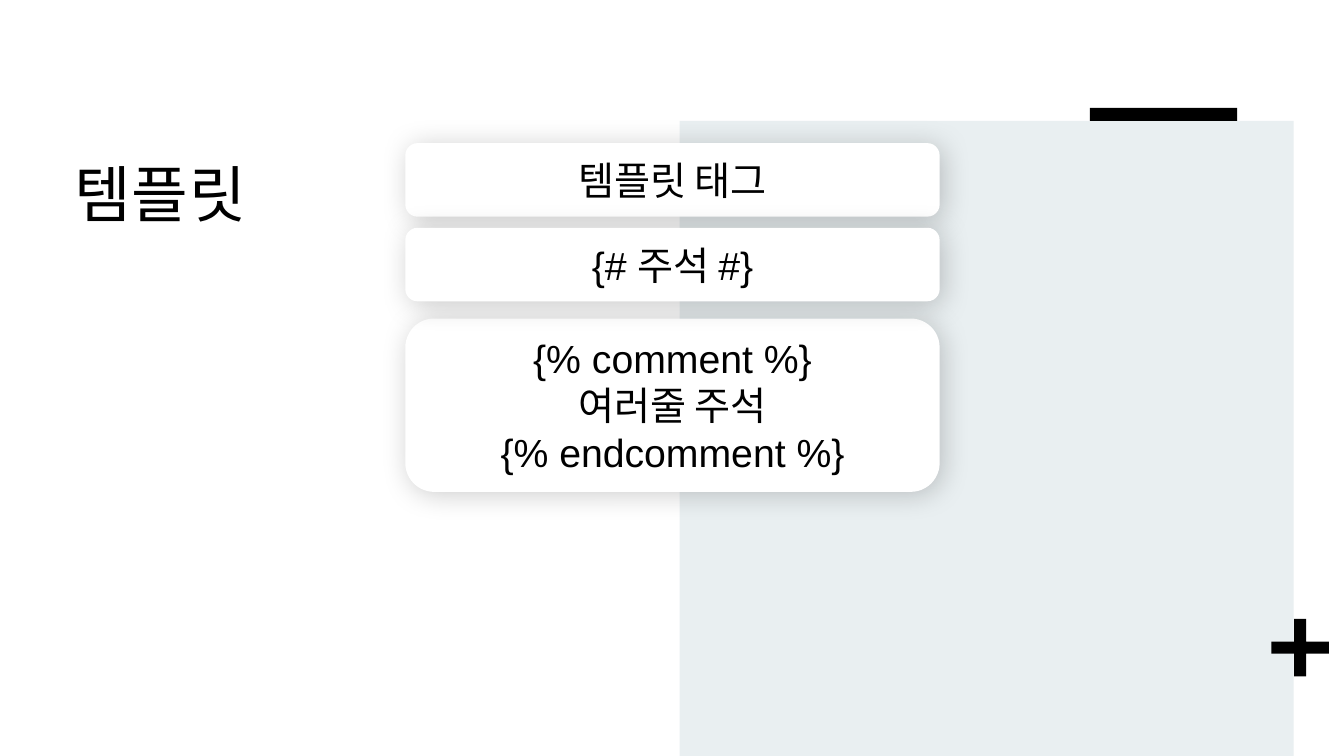
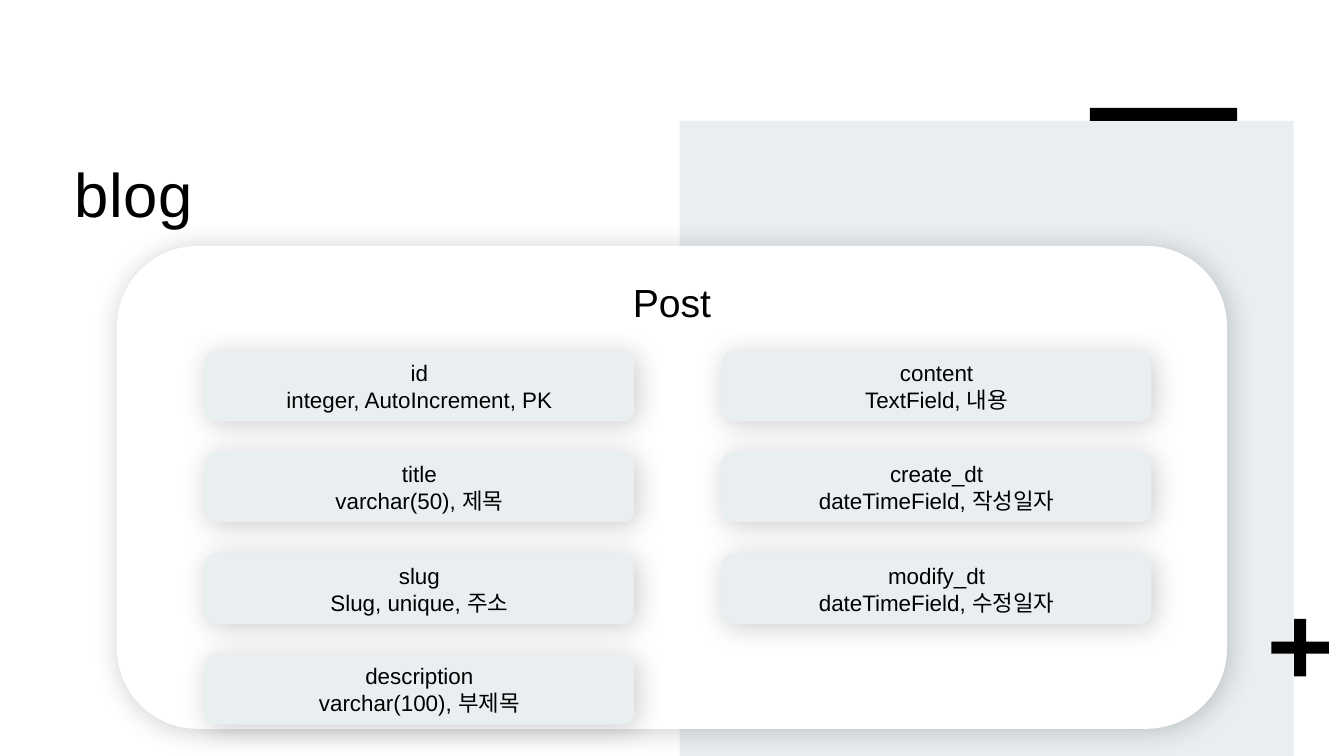
"""Build two slides on template tags and the blog Post model."""
from lxml import etree
from pptx import Presentation
from pptx.dml.color import RGBColor
from pptx.enum.shapes import MSO_SHAPE as SHAPE
from pptx.enum.text import MSO_ANCHOR as ANCHOR, MSO_AUTO_SIZE as AUTO, PP_ALIGN as ALIGN
from pptx.oxml import parse_xml
from pptx.oxml.ns import nsdecls
from pptx.util import Pt

PX = 9144
FONT = "Arial"
WHITE = RGBColor(0xFF, 0xFF, 0xFF)
BLACK = RGBColor(0, 0, 0)
MIST = RGBColor(0xE9, 0xEF, 0xF1)

DECOR = [
    (SHAPE.RECTANGLE, (674, 120, 609, 630), MIST),
    (SHAPE.CROSS, (1261, 614, 57, 57), BLACK),
    (SHAPE.RECTANGLE, (1081, 107, 146, 13), BLACK),
]
TITLE_BOX = (62, 132, 904, 158)
TAGS = [
    (316, 172, ["{% comment %}", "여러줄 주석", "{% endcomment %}"]),
    (142, 73, ["템플릿 태그"]),
    (226, 73, ["{# 주석 #}"]),
]
POST_BOX = (116, 244, 1101, 479)
FIELDS = [
    [("id", "integer, AutoIncrement, PK"),
     ("title", "varchar(50), 제목"),
     ("slug", "Slug, unique, 주소"),
     ("description", "varchar(100), 부제목")],
    [("content", "TextField, 내용"),
     ("create_dt", "dateTimeField, 작성일자"),
     ("modify_dt", "dateTimeField, 수정일자")],
]
FIELD_X, FIELD_Y, FIELD_W, FIELD_H = 203, 348, 426, 70
COL_STEP, ROW_STEP = 513, 100.4


def place(sp, box):
    sp.left, sp.top, sp.width, sp.height = (v * PX for v in box)


def write(tf, lines, size=28, align=ALIGN.CENTER, anchor=ANCHOR.MIDDLE, spacing=None, spc=None):
    tf.word_wrap = True
    tf.vertical_anchor = anchor
    for i, line in enumerate(lines):
        p = tf.paragraphs[0] if i == 0 else tf.add_paragraph()
        p.alignment = align
        p.line_spacing = spacing
        r = p.add_run()
        r.text = line
        r.font.size = Pt(size)
        r.font.name = FONT
        r.font.color.rgb = BLACK
        if spc:
            r.font._element.set("spc", str(spc))


def shape(s, kind, box, fill):
    sp = s.shapes.add_shape(kind, *(v * PX for v in box))
    sp.shadow.inherit = False
    sp.fill.solid()
    sp.fill.fore_color.rgb = fill
    sp.line.fill.background()
    return sp


def card(s, box, lines, fill=WHITE, **fmt):
    sp = shape(s, SHAPE.ROUNDED_RECTANGLE, box, fill)
    effects = sp.element.spPr.find("{*}effectLst")
    shadow = parse_xml(
        f'<a:outerShdw {nsdecls("a")} blurRad="{Pt(20)}" dist="{Pt(3)}" dir="2700000" '
        'algn="tl" rotWithShape="0"/>')
    color = etree.SubElement(shadow, shadow.tag.replace("outerShdw", "srgbClr"), val=str(BLACK))
    etree.SubElement(color, shadow.tag.replace("outerShdw", "alpha"), val="20000")
    effects.append(shadow)
    write(sp.text_frame, lines, **fmt)
    return sp


def add_slide(prs, layout, title):
    s = prs.slides.add_slide(layout)
    place(s.shapes.title, TITLE_BOX)
    tf = s.shapes.title.text_frame
    tf.auto_size = AUTO.NONE
    tf.margin_left = tf.margin_top = tf.margin_right = 12 * PX
    tf.margin_bottom = 10 * PX
    write(tf, [title], size=44, align=ALIGN.LEFT, anchor=ANCHOR.TOP, spacing=1.14, spc=50)
    return s


def decorate(layout, s):
    for i, (kind, box, fill) in enumerate(DECOR):
        sp = shape(s, kind, box, fill)
        if kind == SHAPE.CROSS:
            sp.adjustments[0] = 0.395
        layout.shapes.element.insert(2 + i, sp.element)


def main():
    prs = Presentation()
    prs.slide_width, prs.slide_height = 1333 * PX, 750 * PX
    layout = prs.slide_layouts[5]

    s = add_slide(prs, layout, "템플릿")
    decorate(layout, s)
    for y, h, lines in TAGS:
        card(s, (402, y, 530, h), lines)

    s = add_slide(prs, layout, "blog")
    post = card(s, POST_BOX, ["Post"], anchor=ANCHOR.TOP)
    post.text_frame.margin_top = 9 * PX
    for c, column in enumerate(FIELDS):
        for r, field in enumerate(column):
            box = (FIELD_X + c * COL_STEP, round(FIELD_Y + r * ROW_STEP), FIELD_W, FIELD_H)
            card(s, box, field, fill=MIST, size=16)

    prs.save("out.pptx")


if __name__ == "__main__":
    main()
